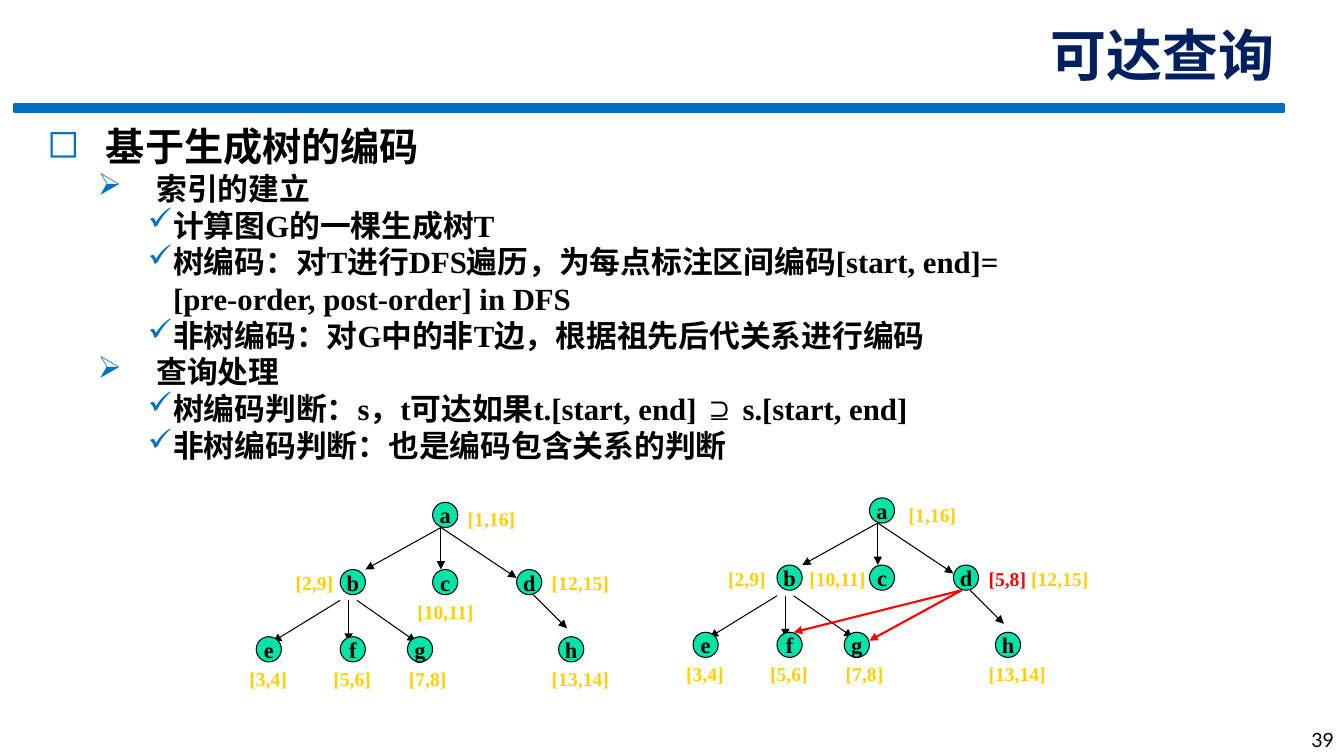
from typing import NamedTuple

import pptx
import pptx.dml.color
import pptx.enum.shapes
import pptx.enum.text
import pptx.oxml.ns
import pptx.presentation
import pptx.shapes.base
import pptx.slide
import pptx.text.text
import pptx.util
from lxml import etree

Pt = pptx.util.Pt
Align = pptx.enum.text.PP_ALIGN
Anchor = pptx.enum.text.MSO_ANCHOR
Shape = pptx.enum.shapes.MSO_SHAPE
SERIF = "Times New Roman"
BLACK, BLUE, NAVY = "000000", "0070C0", "002060"
GREEN, GOLD, RED = "00E4A8", "FFCF01", "FF0000"
SIDE = 18


class Style(NamedTuple):
    size: float
    face: str
    color: str
    bold: bool = True


class Level(NamedTuple):
    mark: str
    left: float
    hang: float
    size: float
    pitch: float


class Node(NamedTuple):
    name: str
    x: float
    y: float


class Edge(NamedTuple):
    x1: float
    y1: float
    x2: float
    y2: float
    color: str = BLACK
    width: float = 0.75


class Label(NamedTuple):
    text: str
    x: float
    y: float
    width: float = 90
    lead: str = ""


class Tree(NamedTuple):
    x: float
    y: float
    labels: list[Label]
    extra: list[Edge]


LEVELS = [
    Level("◻", 42, 42, 28, 35),
    Level("➢", 78, 42, 22, 26.2),
    Level("✓", 90, 18, 22, 26.2),
]
POINTS = [
    (0, "基于生成树的编码"),
    (1, "索引的建立"),
    (2, "计算图G的一棵生成树T"),
    (2, "树编码：对T进行DFS遍历，为每点标注区间编码[start, end]= [pre-order, post-order] in DFS"),
    (2, "非树编码：对G中的非T边，根据祖先后代关系进行编码"),
    (1, "查询处理"),
    (2, "树编码判断：s，t可达如果t.[start, end] ⊇ s.[start, end]"),
    (2, "非树编码判断：也是编码包含关系的判断"),
]
NODES = [
    Node("a", 126, 0),
    Node("b", 60, 48), Node("c", 126, 48), Node("d", 186, 48),
    Node("e", 0, 96), Node("f", 60, 96), Node("g", 108, 96), Node("h", 216, 96),
]
EDGES = [
    Edge(132, 18, 78, 48), Edge(132, 18, 132, 48), Edge(132, 18, 186, 54),
    Edge(60, 70, 12, 99.5), Edge(66, 70, 66, 99.5), Edge(72, 70, 114, 99.5),
    Edge(198, 66, 222, 90),
]
LEAVES = [
    Label("[3,4]", -12, 114, 54), Label("[5,6]", 48, 114, 54),
    Label("[7,8]", 102, 114, 54), Label("[13,14]", 204, 114),
]
TREES = [
    Tree(183, 358.8, [
        Label("[1,16]", 144, 0), Label("[2,9]", 21, 45.5, 54),
        Label("[10,11]", 108, 66.5), Label("[12,15]", 204, 45.5),
    ], []),
    Tree(495, 355.6, [
        Label("[1,16]", 147, 0), Label("[2,9]", 18, 45.5, 54),
        Label("[10,11]", 76, 45.5, 65), Label("[12,15]", 204, 45.5, 90, "[5,8] "),
    ], [Edge(192, 66, 126, 102, RED, 1.5), Edge(192, 66, 72, 96, RED, 1.5)]),
]


def rgb(code: str) -> pptx.dml.color.RGBColor:
    return pptx.dml.color.RGBColor.from_string(code)


def set_font(font: pptx.text.text.Font, style: Style) -> None:
    font.size = Pt(style.size)
    font.name = style.face
    font.bold = style.bold
    font.color.rgb = rgb(style.color)


def add_text(slide: pptx.slide.Slide, x: float, y: float, w: float, h: float) -> pptx.text.text.TextFrame:
    frame = slide.shapes.add_textbox(Pt(x), Pt(y), Pt(w), Pt(h)).text_frame
    frame.word_wrap = True
    return frame


def add_head(slide: pptx.slide.Slide, text: str, box: tuple[float, float, float, float], style: Style) -> None:
    frame = add_text(slide, *box)
    frame.vertical_anchor = Anchor.BOTTOM
    line = frame.paragraphs[0]
    line.text = text
    line.alignment = Align.RIGHT
    set_font(line.font, style)


def add_shape(slide: pptx.slide.Slide, kind: Shape, box: tuple[float, float, float, float],
              fill: str, edge: str, width: float) -> pptx.shapes.base.BaseShape:
    shape = slide.shapes.add_shape(kind, *map(Pt, box))
    shape.shadow.inherit = False
    shape.fill.solid()
    shape.fill.fore_color.rgb = rgb(fill)
    shape.line.color.rgb = rgb(edge)
    shape.line.width = Pt(width)
    return shape


def add_points(slide: pptx.slide.Slide) -> None:
    frame = add_text(slide, 26.6, 82.8, 708, 457)
    qn = pptx.oxml.ns.qn
    for i, (depth, text) in enumerate(POINTS):
        line = frame.add_paragraph() if i else frame.paragraphs[0]
        level = LEVELS[depth]
        line.text = text
        line.level = depth
        line.line_spacing = Pt(level.pitch)
        props = line._p.get_or_add_pPr()
        props.set("marL", str(Pt(level.left)))
        props.set("indent", str(-Pt(level.hang)))
        tint = etree.SubElement(props, qn("a:buClr"))
        etree.SubElement(tint, qn("a:srgbClr"), val=BLUE)
        etree.SubElement(props, qn("a:buChar"), char=level.mark)
        set_font(line.font, Style(level.size, SERIF, BLACK))


def add_edge(slide: pptx.slide.Slide, tree: Tree, edge: Edge) -> None:
    line = slide.shapes.add_connector(
        pptx.enum.shapes.MSO_CONNECTOR.STRAIGHT,
        Pt(tree.x + edge.x1), Pt(tree.y + edge.y1),
        Pt(tree.x + edge.x2), Pt(tree.y + edge.y2))
    line.line.color.rgb = rgb(edge.color)
    line.line.width = Pt(edge.width)
    qn = pptx.oxml.ns.qn
    etree.SubElement(line.line._get_or_add_ln(), qn("a:tailEnd"), type="triangle")
    etree.SubElement(line._element.spPr, qn("a:effectLst"))


def add_label(slide: pptx.slide.Slide, tree: Tree, label: Label) -> None:
    frame = add_text(slide, tree.x + label.x, tree.y + label.y, label.width, 24)
    frame.auto_size = pptx.enum.text.MSO_AUTO_SIZE.SHAPE_TO_FIT_TEXT
    line = frame.paragraphs[0]
    set_font(line.font, Style(14, SERIF, GOLD))
    if label.lead:
        lead = line.add_run()
        lead.text = label.lead
        lead.font.color.rgb = rgb(RED)
    line.add_run().text = label.text


def add_node(slide: pptx.slide.Slide, tree: Tree, node: Node) -> None:
    box = (tree.x + node.x, tree.y + node.y, SIDE, SIDE)
    frame = add_shape(slide, Shape.OVAL, box, GREEN, BLACK, 0.75).text_frame
    frame.word_wrap = False
    frame.vertical_anchor = Anchor.MIDDLE
    frame.margin_left = frame.margin_right = frame.margin_top = frame.margin_bottom = 0
    line = frame.paragraphs[0]
    line.text = node.name
    line.alignment = Align.CENTER
    set_font(line.font, Style(16, SERIF, BLACK))


def add_tree(slide: pptx.slide.Slide, tree: Tree) -> None:
    for edge in EDGES:
        add_edge(slide, tree, edge)
    for label in LEAVES + tree.labels:
        add_label(slide, tree, label)
    for node in NODES:
        add_node(slide, tree, node)
    for edge in tree.extra:
        add_edge(slide, tree, edge)


def main() -> None:
    deck = pptx.Presentation()
    deck.slide_width, deck.slide_height = Pt(960), Pt(540)
    slide = deck.slides.add_slide(deck.slide_layouts[6])
    add_shape(slide, Shape.RECTANGLE, (10.6, 74.4, 906.6, 5.6), BLUE, BLUE, 2)
    add_points(slide)
    for tree in TREES:
        add_tree(slide, tree)
    add_head(slide, "可达查询", (461.5, 24.5, 456, 42), Style(40, "Lato", NAVY))
    add_head(slide, "39", (810, 504, 150, 36), Style(14, "Lato", BLACK, False))
    deck.save("out.pptx")


if __name__ == "__main__":
    main()
